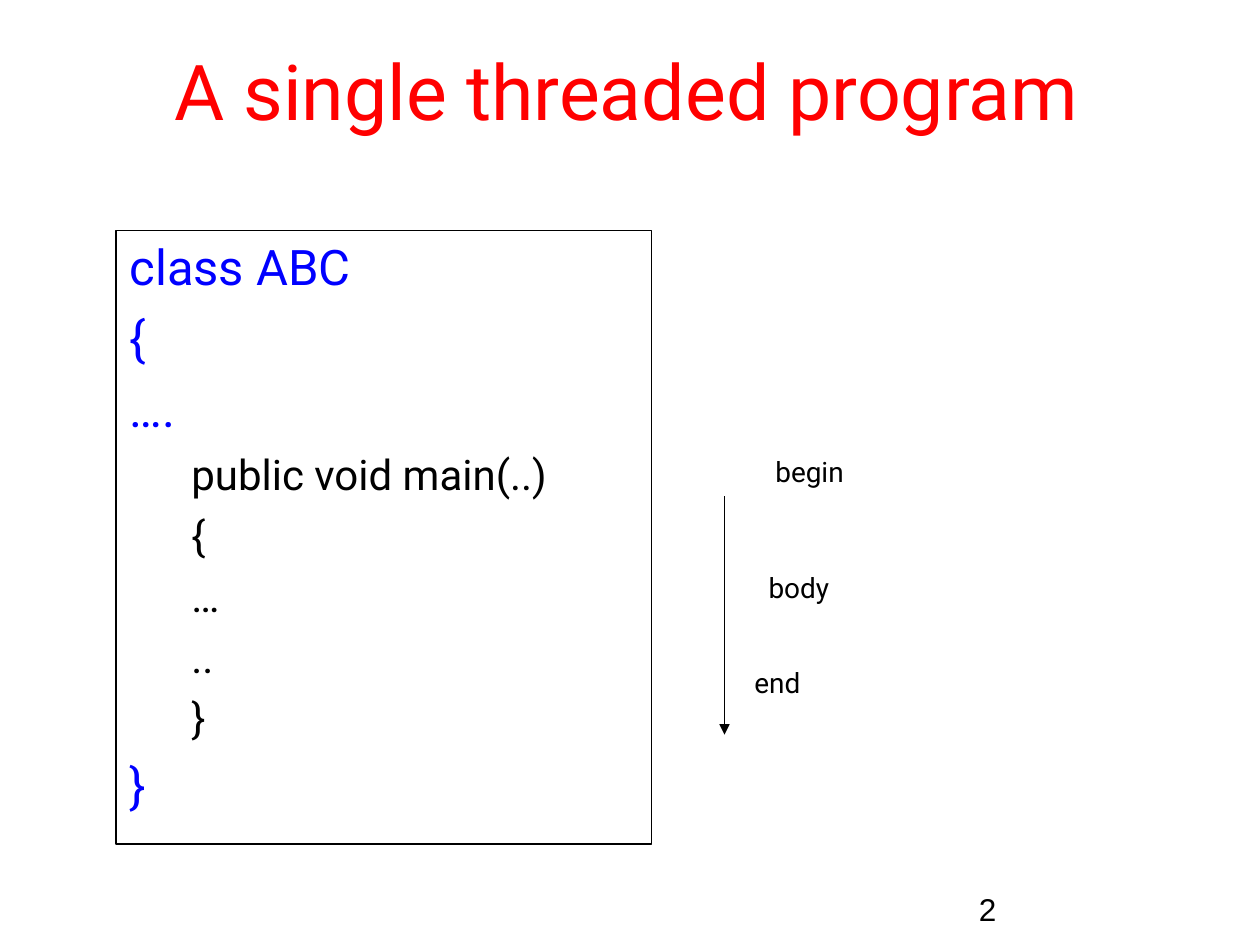
"""Build the slide about a single threaded program."""
from lxml.etree import SubElement
from pptx import Presentation
from pptx.dml.color import RGBColor
from pptx.enum.shapes import MSO_CONNECTOR
from pptx.enum.text import MSO_ANCHOR, MSO_AUTO_SIZE, PP_ALIGN
from pptx.oxml.ns import qn
from pptx.util import Inches, Pt

COLORS = {"title": "FF0000", "class": "0000FF", "text": "000000", "paper": "FFFFFF"}
CODE = [
    ("class ABC", 0),
    ("{", 0),
    ("….", 0),
    ("public void main(..)", 1),
    ("{", 1),
    ("…", 1),
    ("..", 1),
    ("}", 1),
    ("}", 0),
]
CODE_STYLES = [
    {"size": 28, "color": "class", "margin": 0.38, "indent": -0.37, "before": 7},
    {"size": 24, "color": "text", "margin": 0.81, "indent": -0.31, "before": 6},
]
PHASES = [
    ("begin", (6.03, 3.56, 0.79, 0.37)),
    ("body", (5.98, 4.48, 0.72, 0.37)),
    ("end", (5.87, 5.23, 0.6, 0.37)),
]


def rgb(name):
    return RGBColor.from_string(COLORS[name])


def style_paragraph(para, size, color, font="Roboto", align=PP_ALIGN.LEFT):
    para.alignment = align
    for span in para.runs:
        span.font.name = font
        span.font.size = Pt(size)
        span.font.color.rgb = rgb(color)


def add_title(page, text):
    title = page.shapes.title
    title.left, title.top = Inches(0.17), Inches(0.17)
    title.width, title.height = Inches(9.61), Inches(1.08)
    title.fill.solid()
    title.fill.fore_color.rgb = rgb("paper")
    frame = title.text_frame
    frame.text = text
    frame.vertical_anchor = MSO_ANCHOR.MIDDLE
    style_paragraph(frame.paragraphs[0], 44, "title", align=PP_ALIGN.CENTER)


def add_text(page, text, place):
    box = page.shapes.add_textbox(*map(Inches, place))
    box.text_frame.text = text
    return box


def add_code(page, lines, place):
    box = add_text(page, "\n".join(text for text, _ in lines), place)
    box.line.color.rgb = rgb("text")
    box.line.width = Pt(0.75)
    box.text_frame.word_wrap = True
    for number, (para, (_, level)) in enumerate(zip(box.text_frame.paragraphs, lines)):
        style = CODE_STYLES[level]
        para.level = level
        para.space_before = Pt(style["before"] if number else 0)
        properties = para._p.get_or_add_pPr()
        properties.set("marL", str(Inches(style["margin"])))
        properties.set("indent", str(Inches(style["indent"])))
        style_paragraph(para, style["size"], style["color"])


def add_phase(page, text, place):
    frame = add_text(page, text, place).text_frame
    frame.word_wrap = False
    frame.auto_size = MSO_AUTO_SIZE.SHAPE_TO_FIT_TEXT
    style_paragraph(frame.paragraphs[0], 16, "text", align=PP_ALIGN.CENTER)


def add_arrow(page, start, end):
    arrow = page.shapes.add_connector(
        MSO_CONNECTOR.STRAIGHT, *map(Inches, start + end)
    )
    arrow.line.color.rgb = rgb("text")
    arrow.line.width = Pt(0.75)
    SubElement(arrow.line._get_or_add_ln(), qn("a:tailEnd"), type="triangle")
    SubElement(arrow._element.spPr, qn("a:effectLst"))


def add_page_number(page, text):
    frame = add_text(page, text, (7.67, 6.92, 2.08, 0.49)).text_frame
    frame.word_wrap = True
    frame.vertical_anchor = MSO_ANCHOR.BOTTOM
    style_paragraph(frame.paragraphs[0], 18, "text", font="Arial")


def main():
    deck = Presentation()
    deck.slide_width, deck.slide_height = Inches(10), Inches(7.5)
    page = deck.slides.add_slide(deck.slide_layouts[5])
    add_page_number(page, "2")
    add_title(page, "A single threaded program")
    add_code(page, CODE, (0.92, 1.83, 4.25, 4.87))
    add_arrow(page, (5.75, 3.94), (5.75, 5.83))
    for text, place in PHASES:
        add_phase(page, text, place)
    deck.save("out.pptx")


if __name__ == "__main__":
    main()
